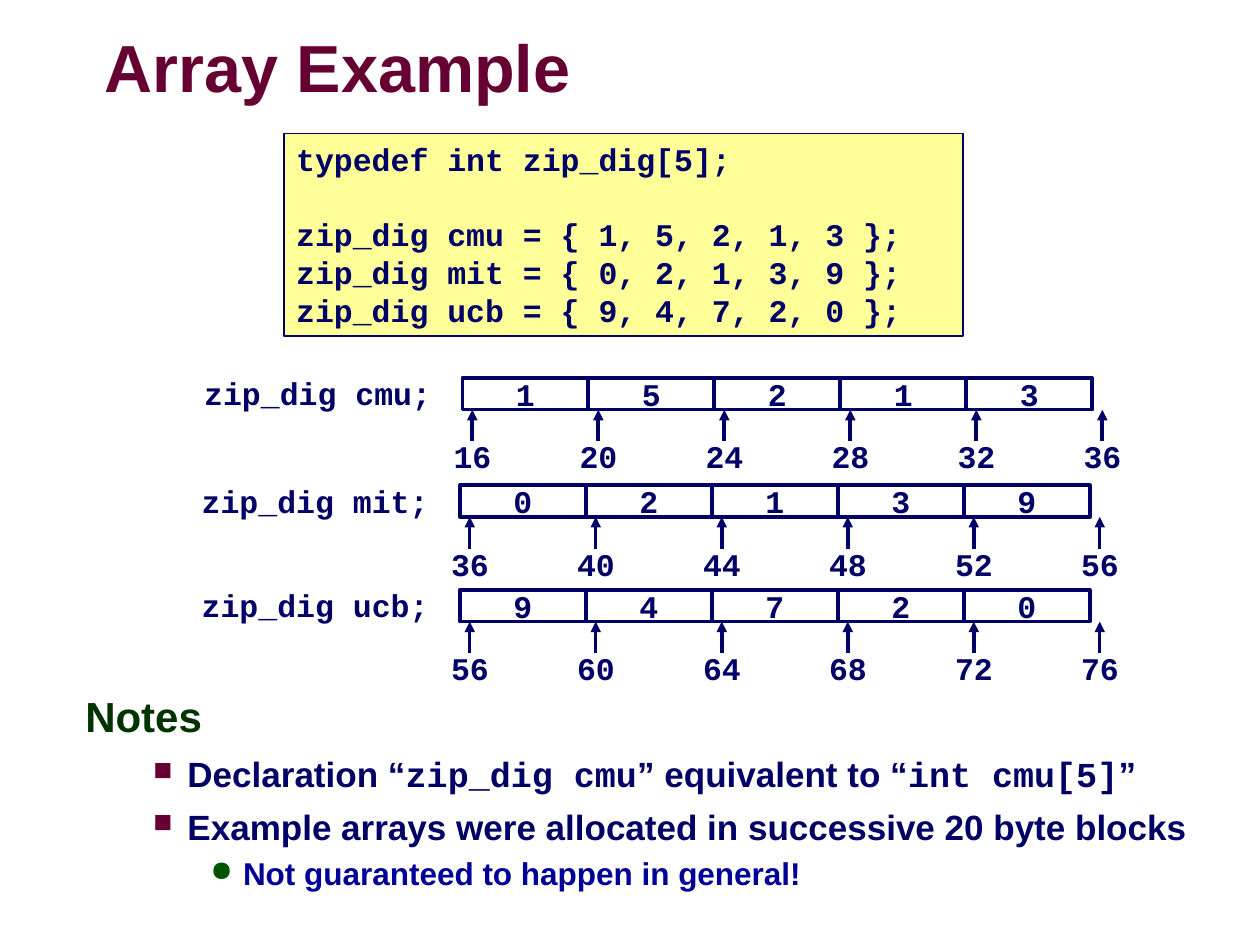
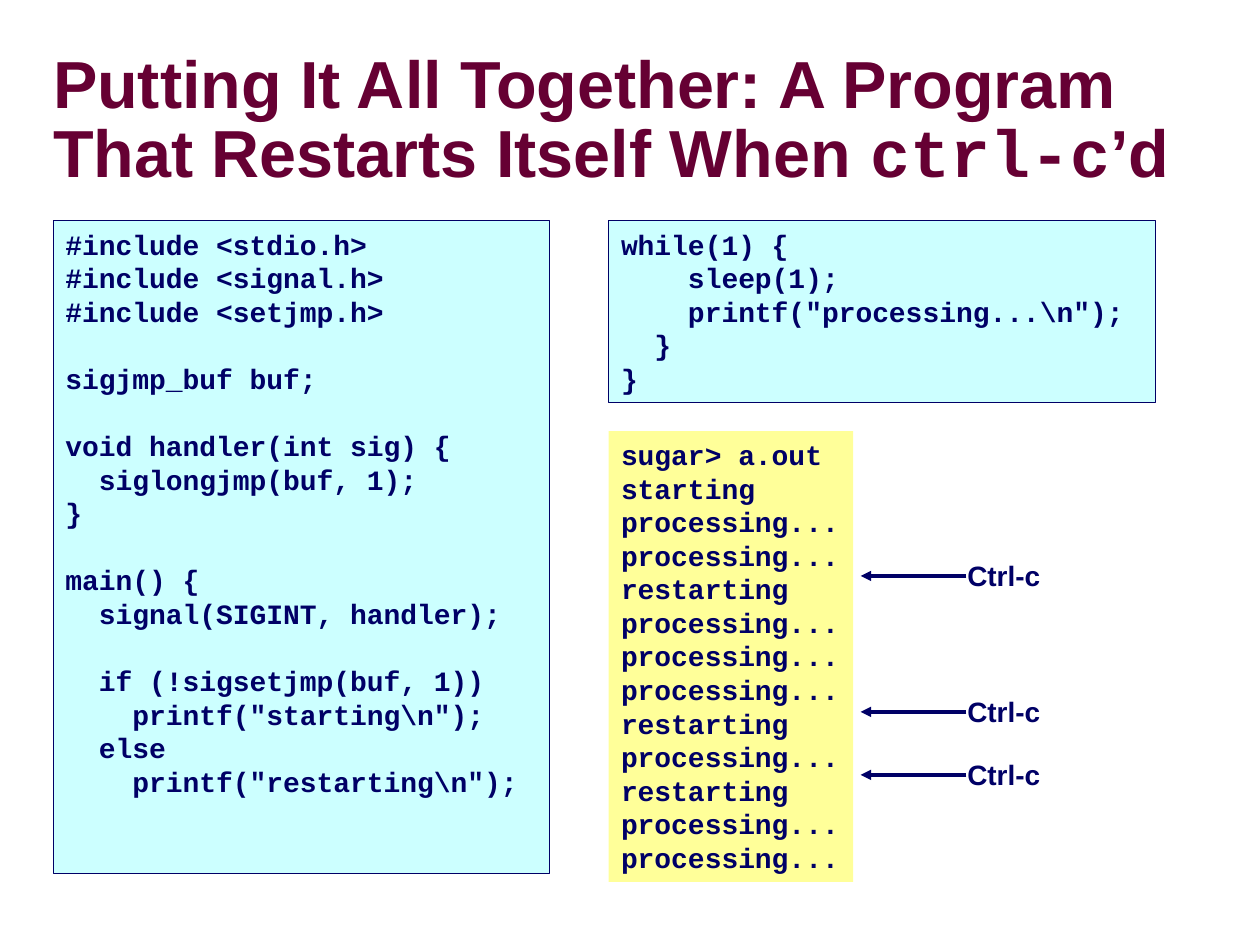
from lxml.etree import SubElement
from pptx import Presentation
from pptx.dml.color import RGBColor
from pptx.enum.shapes import MSO_CONNECTOR as CONN, MSO_SHAPE as SHAPE
from pptx.enum.text import MSO_ANCHOR as ANCHOR, MSO_AUTO_SIZE as FIT, PP_ALIGN as ALIGN
from pptx.oxml.ns import qn
from pptx.util import Cm, Pt

SANS, MONO = "Arial", "Courier New"
NAVY, MAROON, GREEN = "000066", "660033", "003300"
YELLOW, CYAN, WHITE = "FFFF99", "CCFFFF", "FFFFFF"

DECLARATIONS = """typedef int zip_dig[5];

zip_dig cmu = { 1, 5, 2, 1, 3 };
zip_dig mit = { 0, 2, 1, 3, 9 };
zip_dig ucb = { 9, 4, 7, 2, 0 };"""

ARRAYS = [  # name, digits, first address, left, top
    ("cmu", "15213", 16, 9.32, 7.62),
    ("mit", "02139", 36, 9.27, 9.78),
    ("ucb", "94720", 56, 9.27, 11.89),
]

PROGRAM = r"""#include <stdio.h>
#include <signal.h>
#include <setjmp.h>

sigjmp_buf buf;

void handler(int sig) {
  siglongjmp(buf, 1);
}

main() {
  signal(SIGINT, handler);

  if (!sigsetjmp(buf, 1))
    printf("starting\n");
  else
    printf("restarting\n");"""

LOOP = r"""while(1) {
    sleep(1);
    printf("processing...\n");
  }
}"""

OUTPUT = """sugar> a.out
starting
processing...
processing...
restarting
processing...
processing...
processing...
restarting
processing...
restarting
processing...
processing..."""


def rgb(color):
    return RGBColor.from_string(color)


def add_bullet(p, char, color, percent, left, hanging):
    pPr = p._p.get_or_add_pPr()
    pPr.set("marL", str(Cm(left)))
    pPr.set("indent", str(-Cm(hanging)))
    SubElement(SubElement(pPr, qn("a:buClr")), qn("a:srgbClr"), val=color)
    SubElement(pPr, qn("a:buSzPct"), val=str(percent * 1000))
    SubElement(pPr, qn("a:buChar"), char=char)


def add_shadow(r):
    """Give the run a grey shadow to the lower right."""
    rPr = r._r.get_or_add_rPr()
    effects = SubElement(rPr, qn("a:effectLst"))
    rPr.find(qn("a:solidFill")).addnext(effects)
    shadow = SubElement(effects, qn("a:outerShdw"), dist="45000", dir="2700000", algn="tl")
    SubElement(shadow, qn("a:srgbClr"), val="969696")


def write(p, text, size=18, font=SANS, color=NAVY, align=None, before=None,
          spacing=None, shadow=False):
    """Fill a paragraph; parts between backticks are monospaced, a newline breaks the line."""
    p.alignment = align
    if before is not None:
        p.space_before = Pt(before)
    if spacing:
        p.line_spacing = spacing
    for i, part in enumerate(text.split("`")):
        for j, line in enumerate(part.split("\n")):
            if j:
                p.add_line_break()
            if not line:
                continue
            r = p.add_run()
            r.text = line
            r.font.size, r.font.bold = Pt(size), True
            r.font.color.rgb = rgb(color)
            r.font.name = MONO if i % 2 else font
            if shadow:
                add_shadow(r)


class Deck:
    def __init__(self):
        self.prs = Presentation()
        self.prs.slide_width, self.prs.slide_height = Cm(25.4), Cm(19.05)
        self.s = None

    def new_slide(self):
        self.s = self.prs.slides.add_slide(self.prs.slide_layouts[6])

    def frame(self, sp, wrap=False, anchor=ANCHOR.TOP, margins=(0.25, 0.13, 0.25, 0.13)):
        tf = sp.text_frame
        tf.auto_size, tf.word_wrap, tf.vertical_anchor = FIT.NONE, wrap, anchor
        (tf.margin_left, tf.margin_top,
         tf.margin_right, tf.margin_bottom) = map(Cm, margins)
        return tf

    def text_box(self, x, y, w, h, **layout):
        return self.frame(self.s.shapes.add_textbox(Cm(x), Cm(y), Cm(w), Cm(h)), **layout)

    def label(self, text, x, y, w, h, **fmt):
        write(self.text_box(x, y, w, h).paragraphs[0], text, **fmt)

    def title(self, text, x, y, w, h):
        tf = self.text_box(x, y, w, h, wrap=True, anchor=ANCHOR.MIDDLE, margins=(0, 0, 0, 0))
        write(tf.paragraphs[0], text, size=38, color=MAROON, spacing=0.87, shadow=True)

    def rect(self, x, y, w, h, fill, line):
        sp = self.s.shapes.add_shape(SHAPE.RECTANGLE, Cm(x), Cm(y), Cm(w), Cm(h))
        sp.shadow.inherit = False
        sp.fill.solid()
        sp.fill.fore_color.rgb = rgb(fill)
        if line:
            sp.line.color.rgb, sp.line.width = rgb(NAVY), Pt(line)
        else:
            sp.line.fill.background()
        return sp

    def cell(self, text, x, y, w, h):
        tf = self.frame(self.rect(x, y, w, h, WHITE, 2), anchor=ANCHOR.MIDDLE)
        write(tf.paragraphs[0], text, font=MONO, align=ALIGN.CENTER)

    def code(self, text, x, y, w, h, fill, line=None, size=16):
        """Draw a code panel; an empty line becomes space before the next one."""
        tf = self.frame(self.rect(x, y, w, h, fill, line), wrap=True,
                        margins=(0.25, 0.13, 0, 0.13))
        p, gap = tf.paragraphs[0], 0
        for i, row in enumerate(text.split("\n")):
            if not row:
                gap += 1.2 * size
                continue
            if i:
                p = tf.add_paragraph()
            write(p, row, size=size, font=MONO, align=ALIGN.LEFT, before=gap)
            gap = 0

    def arrow(self, x1, y1, x2, y2):
        cn = self.s.shapes.add_connector(CONN.STRAIGHT, Cm(x1), Cm(y1), Cm(x2), Cm(y2))
        cn.line.color.rgb, cn.line.width = rgb(NAVY), Pt(2)
        spPr = cn._element.spPr
        SubElement(spPr.find(qn("a:ln")), qn("a:tailEnd"), type="triangle")
        SubElement(spPr, qn("a:effectLst"))

    def array(self, name, digits, address, x, y, pitch=2.54, height=0.64):
        """Draw one array: its declaration, its cells and the address of each cell border."""
        self.label(f"zip_dig {name};", x - 5.46, y - 0.2, 5.08, 1.02,
                   font=MONO, align=ALIGN.RIGHT)
        for i, digit in enumerate(digits):
            self.cell(digit, x + i * pitch, y, pitch, height)
        for i in range(len(digits) + 1):
            left = x + i * pitch
            self.arrow(left + 0.2, y + 2 * height, left + 0.2, y + height)
            self.label(str(address + 4 * i), left - 0.43, y + 1.07, 1.27, 1.02,
                       font=MONO, align=ALIGN.CENTER)

    def outline(self, heading, points, x, y, w, h):
        """Write a heading and its (level, text) points."""
        tf = self.text_box(x, y, w, h, wrap=True)
        write(tf.paragraphs[0], heading, size=24, color=GREEN, spacing=0.95)
        for level, text in points:
            p = tf.add_paragraph()
            p.level = level
            if level == 1:
                add_bullet(p, "■", MAROON, 75, 2.06, 0.69)
                write(p, text, size=20, before=6)
            else:
                add_bullet(p, "●", "005400", 90, 3.18, 0.66)
                write(p, text, color="000099", before=2, spacing=1.07)


def array_example(deck):
    deck.new_slide()
    deck.title("Array Example", 2.11, 0.64, 15.21, 1.6)
    deck.outline("Notes", [
        (1, "Declaration “`zip_dig cmu`” equivalent to “`int cmu[5]`”"),
        (1, "Example arrays were allocated in successive 20 byte blocks"),
        (2, "Not guaranteed to happen in general!"),
    ], 1.47, 13.87, 23.29, 3.84)
    deck.code(DECLARATIONS, 5.72, 2.69, 13.69, 4.09, YELLOW, line=1, size=18)
    for row in ARRAYS:
        deck.array(*row)


def restarting_program(deck):
    deck.new_slide()
    deck.title("Putting It All Together: A Program\nThat Restarts Itself When `ctrl-c`’d",
               1.07, 0.94, 23.5, 3.05)
    deck.code(PROGRAM, 1.07, 4.45, 10.01, 13.16, CYAN, line=0.25)
    deck.code(LOOP, 12.27, 4.45, 11.02, 3.66, CYAN, line=0.25)
    deck.code(OUTPUT, 12.27, 8.69, 4.93, 9.09, YELLOW)
    for y in (11.61, 14.35, 15.62):
        deck.label("Ctrl-c", 19.25, y - 0.48, 1.98, 0.94, size=16)
        deck.arrow(19.48, y, 17.35, y)


def main():
    deck = Deck()
    array_example(deck)
    restarting_program(deck)
    deck.prs.save("out.pptx")


if __name__ == "__main__":
    main()
